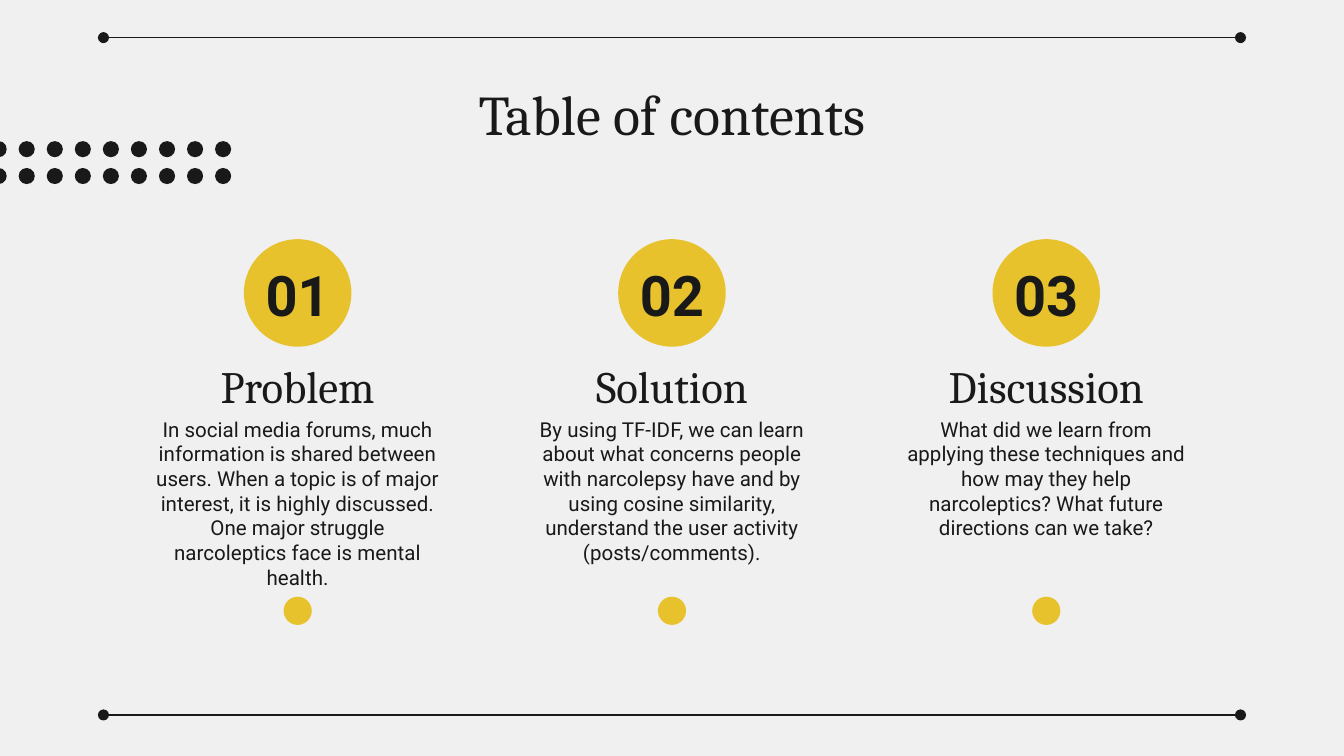
from lxml import etree
from pptx import Presentation
from pptx.dml.color import RGBColor
from pptx.enum.shapes import MSO_CONNECTOR, MSO_SHAPE
from pptx.enum.text import MSO_ANCHOR, MSO_AUTO_SIZE, PP_ALIGN
from pptx.oxml.ns import qn
from pptx.util import Inches, Pt

OVAL = MSO_SHAPE.OVAL
STRAIGHT = MSO_CONNECTOR.STRAIGHT
TOP, MIDDLE, BOTTOM = MSO_ANCHOR.TOP, MSO_ANCHOR.MIDDLE, MSO_ANCHOR.BOTTOM
CENTER = PP_ALIGN.CENTER
NO_AUTOFIT = MSO_AUTO_SIZE.NONE

PAPER = RGBColor(0xF0, 0xF0, 0xF0)
INK = RGBColor(0x19, 0x19, 0x19)
YELLOW = RGBColor(0xE7, 0xC2, 0x2C)
SERIF, SANS = "Cambria", "Roboto"

TITLE = "Table of contents"
SECTIONS = [
    ("01", "Problem",
     "In social media forums, much information is shared between users. "
     "When a topic is of major interest, it is highly discussed. "
     "One major struggle narcoleptics face is mental health."),
    ("02", "Solution",
     "By using TF-IDF, we can learn about what concerns people with "
     "narcolepsy have and by using cosine similarity, understand the user "
     "activity (posts/comments)."),
    ("03", "Discussion",
     "What did we learn from applying these techniques and how may they help "
     "narcoleptics? What future directions can we take?"),
]

SLIDE_WIDTH = 10
SLIDE_HEIGHT = SLIDE_WIDTH * 9 / 16
COLUMN_SPAN, COLUMN_WIDTH = 5.57, 2.36
COLUMN_PITCH = COLUMN_SPAN / (len(SECTIONS) - 1)
BADGE, MARKER = 0.8, 0.21
RULE_LEFT, RULE_RIGHT = 0.77, 9.23
RULE_YS = (0.28, 5.32)
DOT, DOT_COLUMNS, DOT_ROWS = 0.12, 9, 2
DOT_LEFT, DOT_RIGHT, DOT_TOP = -0.07, 1.6, 1.05
DOT_PITCH_X = (DOT_RIGHT - DOT_LEFT) / (DOT_COLUMNS - 1)
DOT_PITCH_Y = 0.2


def write_text(holder, text, *, size, font=SERIF, bold=False, anchor=TOP):
    frame = holder.text_frame
    frame.word_wrap = True
    frame.auto_size = NO_AUTOFIT
    frame.vertical_anchor = anchor
    frame.margin_left = frame.margin_right = Inches(0.1)
    frame.margin_top = frame.margin_bottom = Inches(0.1)
    paragraph = frame.paragraphs[0]
    paragraph.alignment = CENTER
    run = paragraph.add_run()
    run.text = text
    run.font.size = Pt(size)
    run.font.name = font
    run.font.bold = bold
    run.font.color.rgb = INK


def add_circle(shapes, left, top, diameter, color):
    circle = shapes.add_shape(OVAL, Inches(left), Inches(top),
                              Inches(diameter), Inches(diameter))
    circle.shadow.inherit = False
    circle.fill.solid()
    circle.fill.fore_color.rgb = color
    circle.line.fill.background()


def add_centered_box(shapes, center, top, width, height):
    return shapes.add_textbox(Inches(center - width / 2), Inches(top),
                              Inches(width), Inches(height))


def add_rule(shapes, y):
    rule = shapes.add_connector(STRAIGHT, Inches(RULE_LEFT), Inches(y),
                                Inches(RULE_RIGHT), Inches(y))
    rule.line.color.rgb = INK
    rule.line.width = Pt(0.75)
    outline = rule.line._get_or_add_ln()
    for end in ("a:headEnd", "a:tailEnd"):
        etree.SubElement(outline, qn(end), type="oval", w="med", len="med")
    etree.SubElement(rule._element.spPr, qn("a:effectLst"))


def add_section(shapes, center, number, heading, summary):
    add_circle(shapes, center - BADGE / 2, 1.78, BADGE, YELLOW)
    write_text(add_centered_box(shapes, center, 1.94, BADGE, 0.49), number,
               size=30, font=SANS, bold=True, anchor=MIDDLE)
    write_text(add_centered_box(shapes, center, 2.59, COLUMN_WIDTH, 0.58),
               heading, size=24, anchor=BOTTOM)
    write_text(add_centered_box(shapes, center, 3, COLUMN_WIDTH, 1.36),
               summary, size=11, font=SANS)
    add_circle(shapes, center - MARKER / 2, 4.44, MARKER, YELLOW)


def main():
    deck = Presentation()
    deck.slide_width = Inches(SLIDE_WIDTH)
    deck.slide_height = Inches(SLIDE_HEIGHT)
    slide = deck.slides.add_slide(deck.slide_layouts.get_by_name("Title Only"))
    slide.background.fill.solid()
    slide.background.fill.fore_color.rgb = PAPER

    title = slide.shapes.title
    title.left, title.top = Inches(0.79), Inches(0.49)
    title.width, title.height = Inches(8.42), Inches(0.63)
    write_text(title, TITLE, size=30)

    for index, section in enumerate(SECTIONS):
        center = SLIDE_WIDTH / 2 + (index - 1) * COLUMN_PITCH
        add_section(slide.shapes, center, *section)

    for y in RULE_YS:
        add_rule(slide.shapes, y)

    dots = slide.shapes.add_group_shape()
    for column in range(DOT_COLUMNS):
        for row in range(DOT_ROWS):
            add_circle(dots.shapes, DOT_LEFT + column * DOT_PITCH_X,
                       DOT_TOP + row * DOT_PITCH_Y, DOT, INK)

    deck.save("out.pptx")


if __name__ == "__main__":
    main()
